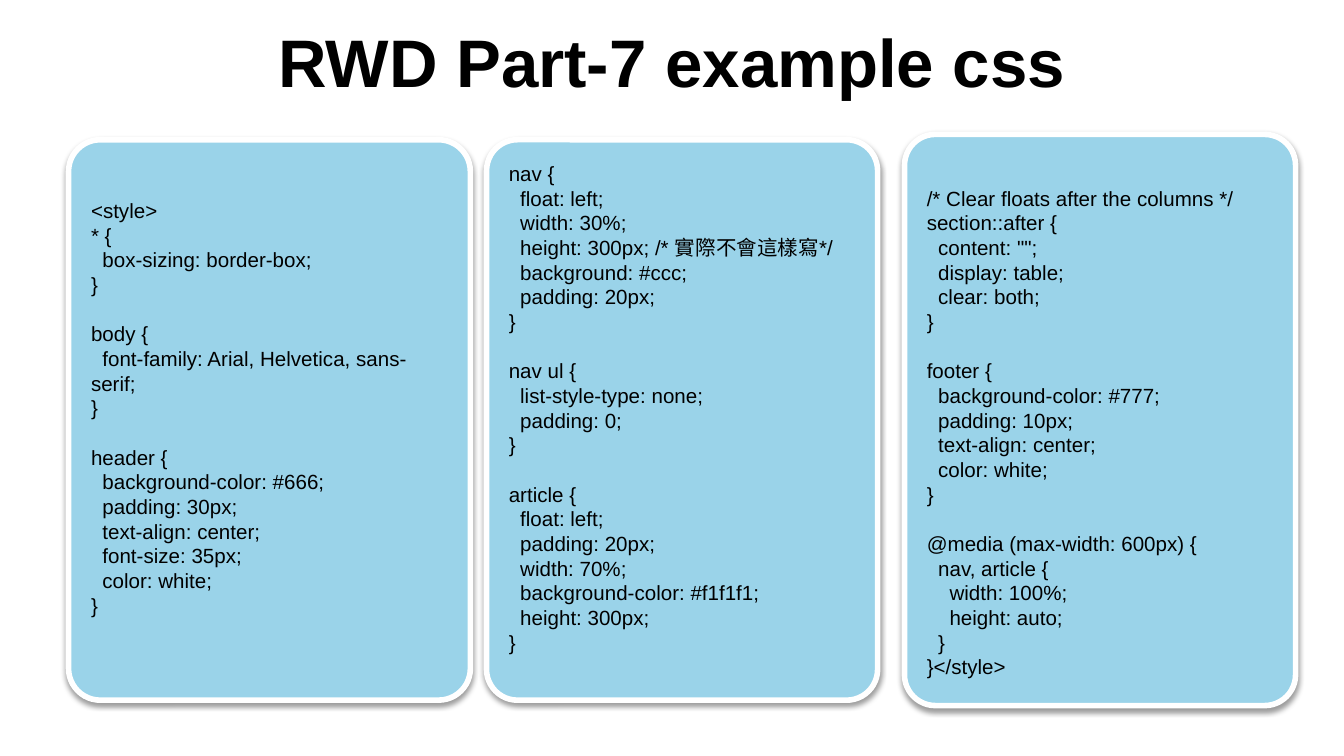
from lxml import etree
from pptx import Presentation
from pptx.dml.color import RGBColor
from pptx.enum.shapes import MSO_SHAPE
from pptx.enum.text import MSO_ANCHOR, PP_ALIGN
from pptx.oxml.ns import qn
from pptx.util import Inches, Pt

ROUNDED = MSO_SHAPE.ROUNDED_RECTANGLE
MIDDLE = MSO_ANCHOR.MIDDLE
LEFT, CENTER = PP_ALIGN.LEFT, PP_ALIGN.CENTER

COLORS = {"panel": "9AD3E9", "border": "FFFFFF", "text": "000000", "shadow": "000000"}
FONT = "Arial"
CODE_SIZE = 11
CODE_LINE = Pt(13.2)
INSET = Inches(0.05)

BASE_RULES = [
    """<style>
* {
  box-sizing: border-box;
}""",
    """body {
  font-family: Arial, Helvetica, sans-serif;
}""",
    """header {
  background-color: #666;
  padding: 30px;
  text-align: center;
  font-size: 35px;
  color: white;
}""",
]

COLUMN_RULES = [
    """nav {
  float: left;
  width: 30%;
  height: 300px; /* 實際不會這樣寫*/
  background: #ccc;
  padding: 20px;
}""",
    """nav ul {
  list-style-type: none;
  padding: 0;
}""",
    """article {
  float: left;
  padding: 20px;
  width: 70%;
  background-color: #f1f1f1;
  height: 300px;
}""",
]

FOOTER_RULES = [
    """/* Clear floats after the columns */
section::after {
  content: "";
  display: table;
  clear: both;
}""",
    """footer {
  background-color: #777;
  padding: 10px;
  text-align: center;
  color: white;
}""",
    """@media (max-width: 600px) {
  nav, article {
    width: 100%;
    height: auto;
  }
}</style>""",
]


def color(name):
    return RGBColor.from_string(COLORS[name])


def style(paragraph, size, align, bold=False):
    paragraph.alignment = align
    paragraph.font.name = FONT
    paragraph.font.size = Pt(size)
    paragraph.font.bold = bold
    paragraph.font.color.rgb = color("text")


def add_title(slide, text):
    title = slide.shapes.add_textbox(Inches(0), Inches(0.14), Inches(10), Inches(0.63))
    frame = title.text_frame
    frame.word_wrap = True
    frame.vertical_anchor = MIDDLE
    heading = frame.paragraphs[0]
    heading.text = text
    style(heading, 36, CENTER, bold=True)


def add_soft_shadow(panel):
    panel.shadow.inherit = False
    effects = panel._element.spPr.find(qn("a:effectLst"))
    shadow = etree.SubElement(
        effects, qn("a:outerShdw"), blurRad=str(Pt(3.1)), dist=str(Pt(1.6)),
        dir="5400000", rotWithShape="0")
    tint = etree.SubElement(shadow, qn("a:srgbClr"), val=COLORS["shadow"])
    etree.SubElement(tint, qn("a:alpha"), val="38000")


def add_code_panel(slide, left, top, width, height, rules, lead=0, trail=0):
    panel = slide.shapes.add_shape(
        ROUNDED, Inches(left), Inches(top), Inches(width), Inches(height))
    panel.adjustments[0] = 0.079
    panel.fill.solid()
    panel.fill.fore_color.rgb = color("panel")
    panel.line.color.rgb = color("border")
    panel.line.width = Pt(3)
    add_soft_shadow(panel)

    frame = panel.text_frame
    frame.word_wrap = True
    frame.vertical_anchor = MIDDLE
    frame.margin_top = INSET + lead
    frame.margin_bottom = INSET + trail
    frame.text = "\n".join(rules)
    for paragraph in frame.paragraphs:
        style(paragraph, CODE_SIZE, LEFT)
        paragraph.line_spacing = CODE_LINE

    rule_start = 0
    for rule in rules[:-1]:
        rule_start += len(rule.splitlines())
        frame.paragraphs[rule_start].space_before = CODE_LINE


def main():
    deck = Presentation()
    deck.slide_width = Inches(10)
    deck.slide_height = deck.slide_width * 9 // 16
    slide = deck.slides.add_slide(deck.slide_layouts[6])
    add_title(slide, "RWD Part-7 example css")
    add_code_panel(slide, 0.51, 1.04, 2.99, 4.17, BASE_RULES, trail=CODE_LINE)
    add_code_panel(slide, 3.62, 1.04, 2.91, 4.17, COLUMN_RULES, trail=CODE_LINE)
    add_code_panel(slide, 6.73, 1, 2.91, 4.25, FOOTER_RULES, lead=CODE_LINE)
    deck.save("out.pptx")


if __name__ == "__main__":
    main()
